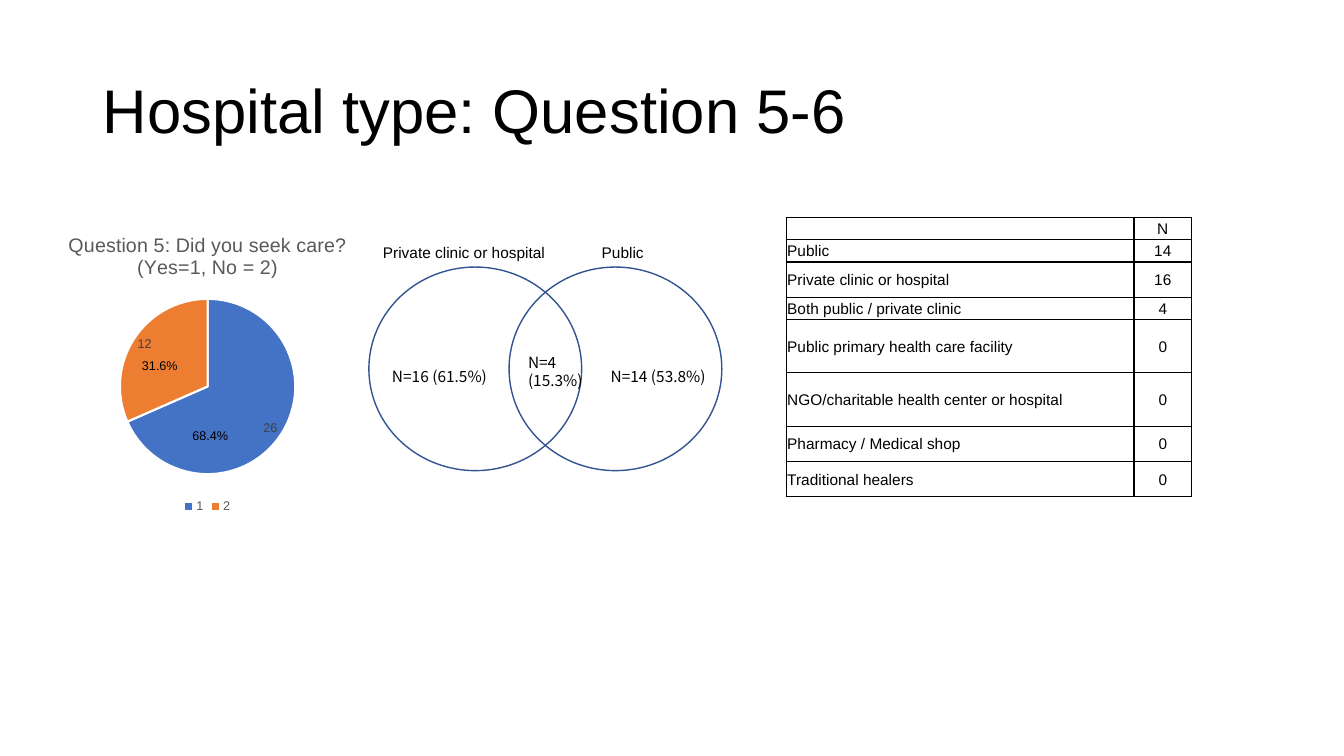
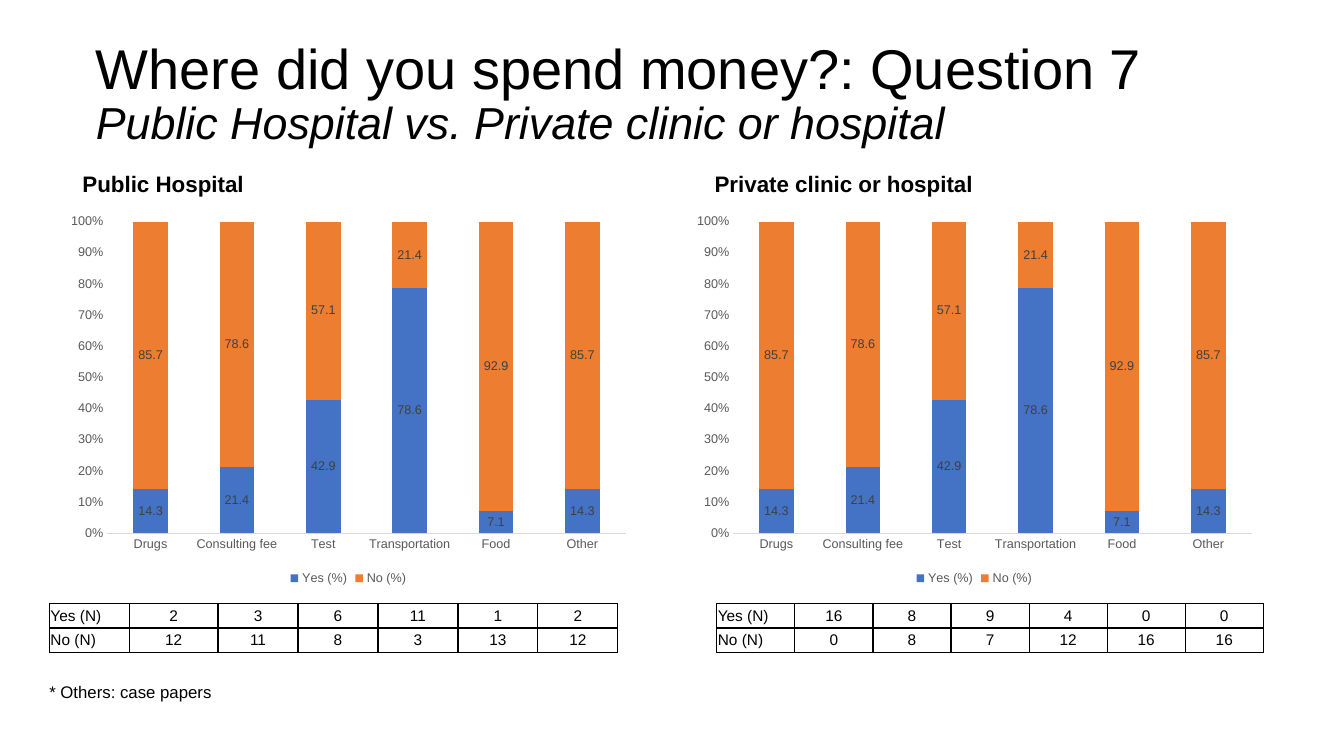
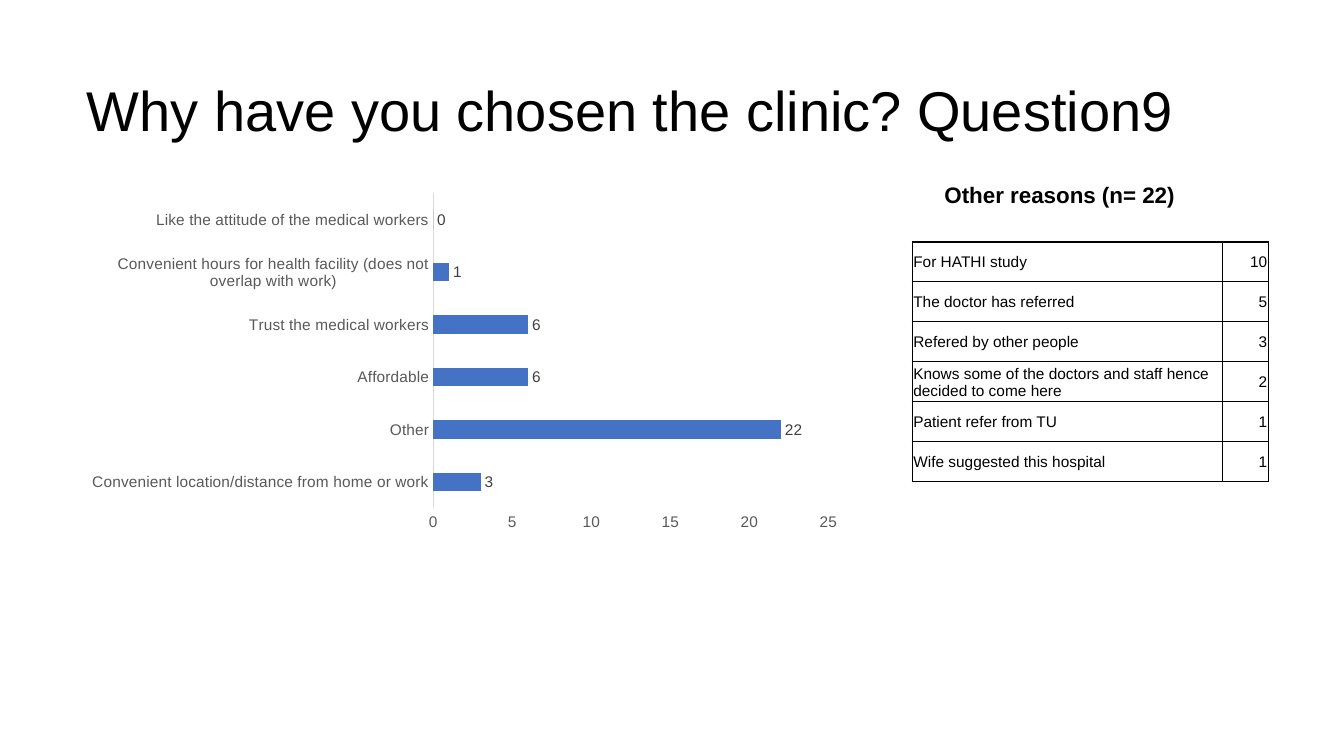
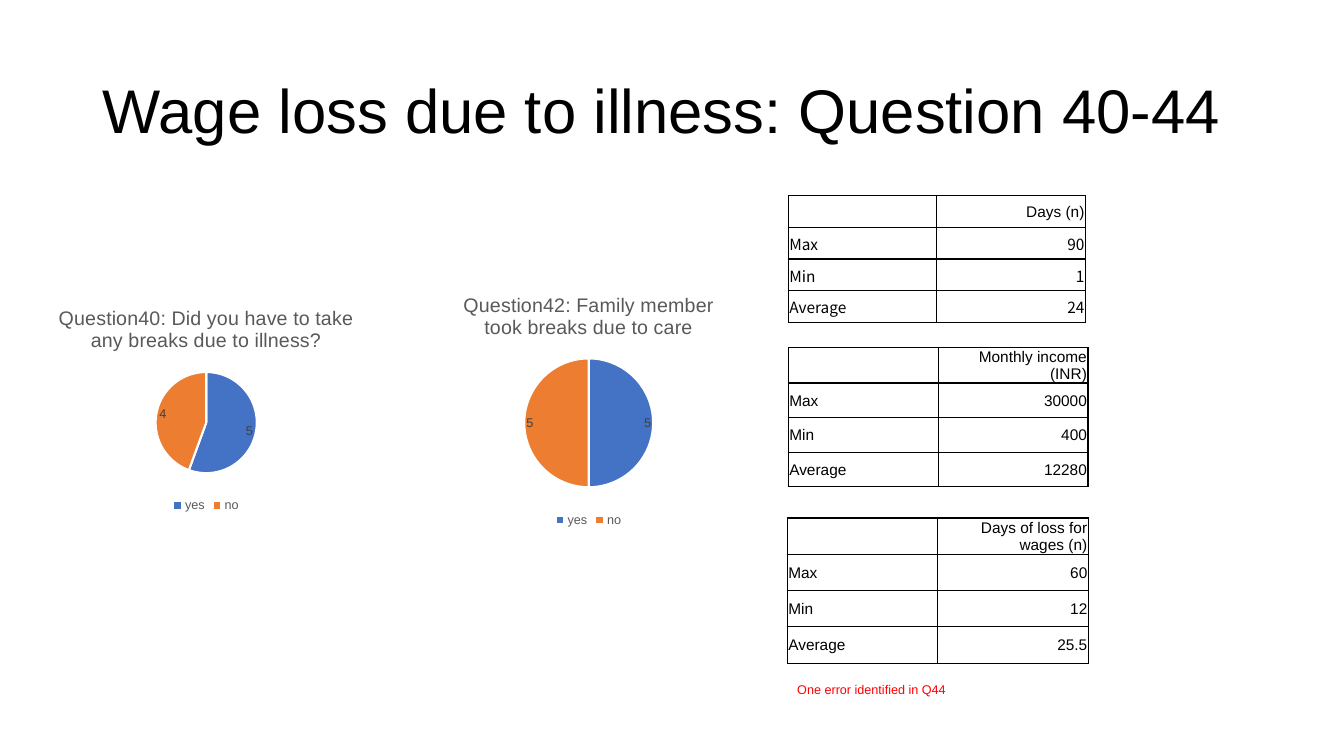
"""Build four slides of survey results on seeking and paying for care."""
from dataclasses import dataclass
from typing import Optional, Sequence

from lxml import etree
from pptx import Presentation
from pptx import util as u
from pptx.chart.data import CategoryChartData
from pptx.dml.color import RGBColor
from pptx.enum import chart as ch, shapes, text
from pptx.oxml import ns

BLACK = RGBColor(0x00, 0x00, 0x00)
WHITE = RGBColor(0xFF, 0xFF, 0xFF)
RED = RGBColor(0xFF, 0x00, 0x00)
BLUE = RGBColor(0x44, 0x72, 0xC4)
ORANGE = RGBColor(0xED, 0x7D, 0x31)
NAVY = RGBColor(0x32, 0x54, 0x91)
GREY = RGBColor(0x59, 0x59, 0x59)
DARK = RGBColor(0x40, 0x40, 0x40)
PALE = RGBColor(0xD9, 0xD9, 0xD9)
HUES = (BLUE, ORANGE)

SANS = "Arial"
NOTO = "Noto Sans CJK KR"
LEFT, MID, RIGHT = text.PP_ALIGN.LEFT, text.PP_ALIGN.CENTER, text.PP_ALIGN.RIGHT
WIDE, HIGH = u.Inches(13.33), u.Inches(7.5)


def across(share: float) -> int:
    """Turn a percentage of the slide's width into a length."""
    return round(WIDE * share / 100)


def down(share: float) -> int:
    """Turn a percentage of the slide's height into a length."""
    return round(HIGH * share / 100)


@dataclass(frozen=True)
class Box:
    """A place on the slide, in percent of its width and height."""
    x: float
    y: float
    w: float
    h: float

    def emu(self) -> tuple:
        """Give left, top, width and height as lengths."""
        return across(self.x), down(self.y), across(self.w), down(self.h)


@dataclass(frozen=True)
class Label:
    """A line of free text."""
    words: str
    box: Box
    size: float = 11
    face: str = SANS
    hue: RGBColor = BLACK
    bold: bool = False


@dataclass(frozen=True)
class Grid:
    """A ruled table; cols and rows are shares of the slide."""
    x: float
    y: float
    cols: Sequence[float]
    rows: Sequence[float]
    cells: Sequence[Sequence[str]]
    align: text.PP_ALIGN = MID
    face: str = SANS


@dataclass(frozen=True)
class Pie:
    """A two-part pie with a title."""
    title: str
    box: Box
    cats: Sequence[str]
    vals: Sequence[float]


@dataclass(frozen=True)
class Bars:
    """A bar or column chart."""
    kind: ch.XL_CHART_TYPE
    box: Box
    cats: Sequence[str]
    series: dict
    size: float
    gap: int
    spot: ch.XL_LABEL_POSITION
    form: str
    axis: str


def style(font, size: float, hue: RGBColor = BLACK, face: str = SANS,
          bold: Optional[bool] = None) -> None:
    """Set face, size, colour and weight of a font."""
    font.name, font.size, font.bold = face, u.Pt(size), bold
    font.color.rgb = hue


def new_slide(deck, title: str, x: float, y: float, size: float, sub: str = ""):
    """Add a slide with its title and an optional italic second line."""
    slide = deck.slides.add_slide(deck.slide_layouts[5])
    head = slide.shapes.title
    head.left, head.top, head.width, head.height = Box(x, y, 86.25, 19.33).emu()
    frame = head.text_frame
    frame.auto_size = text.MSO_AUTO_SIZE.NONE
    frame.vertical_anchor = text.MSO_ANCHOR.MIDDLE
    para = frame.paragraphs[0]
    para.alignment, para.line_spacing = LEFT, 0.9
    style(para.font, size)
    para.add_run().text = title
    if sub:
        para.add_line_break()
        run = para.add_run()
        run.text, run.font.size, run.font.italic = sub, u.Pt(32), True
    return slide


def add_label(slide, label: Label) -> None:
    """Draw a text box."""
    frame = slide.shapes.add_textbox(*label.box.emu()).text_frame
    frame.word_wrap = True
    frame.auto_size = text.MSO_AUTO_SIZE.SHAPE_TO_FIT_TEXT
    para = frame.paragraphs[0]
    para.text = label.words
    style(para.font, label.size, label.hue, label.face, label.bold)


def add_ring(slide, box: Box) -> None:
    """Draw one circle of the Venn diagram."""
    ring = slide.shapes.add_shape(shapes.MSO_SHAPE.OVAL, *box.emu())
    ring.shadow.inherit = False
    ring.fill.background()
    ring.line.color.rgb, ring.line.width = NAVY, u.Pt(1)


def rule(cell) -> None:
    """Give a cell thin black borders on all sides."""
    props = cell._tc.get_or_add_tcPr()
    for at, side in enumerate(("lnL", "lnR", "lnT", "lnB")):
        line = etree.Element(ns.qn(f"a:{side}"), w=str(u.Pt(1)))
        fill = etree.SubElement(line, ns.qn("a:solidFill"))
        etree.SubElement(fill, ns.qn("a:srgbClr"), val=str(BLACK))
        props.insert(at, line)


def fill_cell(cell, words: str, align: text.PP_ALIGN, face: str) -> None:
    """Write and format one table cell."""
    cell.fill.background()
    rule(cell)
    cell.margin_left = cell.margin_top = cell.margin_right = u.Inches(0.01)
    cell.margin_bottom = 0
    cell.vertical_anchor = text.MSO_ANCHOR.MIDDLE
    para = cell.text_frame.paragraphs[0]
    para.alignment = align
    style(para.font, 11, face=face)
    if words:
        para.add_run().text = words
    else:
        etree.SubElement(para._p, ns.qn("a:endParaRPr"), sz="1100")


def add_grid(slide, grid: Grid) -> None:
    """Draw a table; a header row has an empty first cell."""
    box = Box(grid.x, grid.y, sum(grid.cols), sum(grid.rows))
    table = slide.shapes.add_table(
        len(grid.rows), len(grid.cols), *box.emu()).table
    table.first_row = table.horz_banding = False
    for col, share in zip(table.columns, grid.cols):
        col.width = across(share)
    for row, share in zip(table.rows, grid.rows):
        row.height = down(share)
    for r, line in enumerate(grid.cells):
        face = grid.face if line[0] else SANS
        for c, words in enumerate(line):
            fill_cell(table.cell(r, c), words, grid.align if c else LEFT, face)


def new_chart(slide, kind, box: Box, cats: Sequence[str], series: dict, size: float):
    """Place a chart with its data and base font."""
    data = CategoryChartData()
    data.categories = cats
    for name, vals in series.items():
        data.add_series(name, vals)
    chart = slide.shapes.add_chart(kind, *box.emu(), data).chart
    style(chart.font, size)
    chart.has_title = False
    return chart


def add_legend(chart) -> None:
    """Put the legend below the plot."""
    chart.has_legend = True
    chart.legend.position = ch.XL_LEGEND_POSITION.BOTTOM
    chart.legend.include_in_layout = False
    style(chart.legend.font, 9, GREY)


def add_values(series, size: float, spot, form: str = "General") -> None:
    """Show the values of a series as labels."""
    tags = series.data_labels
    tags.show_value, tags.position = True, spot
    tags.number_format, tags.number_format_is_linked = form, False
    style(tags.font, size, DARK)


def add_pie(slide, pie: Pie) -> None:
    """Draw a pie chart."""
    chart = new_chart(slide, ch.XL_CHART_TYPE.PIE, pie.box, pie.cats,
                      {"Series 1": pie.vals}, 10)
    chart.has_title = True
    para = chart.chart_title.text_frame.paragraphs[0]
    para.text = pie.title
    style(para.font, 14, GREY, bold=False)
    add_legend(chart)
    series = chart.plots[0].series[0]
    for at, hue in enumerate(HUES):
        part = series.points[at].format
        part.fill.solid()
        part.fill.fore_color.rgb = hue
        part.line.color.rgb, part.line.width = WHITE, u.Pt(1.5)
    add_values(series, 9, ch.XL_LABEL_POSITION.BEST_FIT)


def add_bars(slide, bars: Bars) -> None:
    """Draw a bar or column chart without grid lines."""
    chart = new_chart(slide, bars.kind, bars.box, bars.cats, bars.series, bars.size)
    for axis in (chart.category_axis, chart.value_axis):
        axis.has_major_gridlines = False
        axis.major_tick_mark = axis.minor_tick_mark = ch.XL_TICK_MARK.NONE
        style(axis.tick_labels.font, bars.size, GREY)
    line = chart.category_axis.format.line
    line.color.rgb, line.width = PALE, u.Pt(0.75)
    chart.value_axis.format.line.fill.background()
    ticks = chart.value_axis.tick_labels
    ticks.number_format, ticks.number_format_is_linked = bars.axis, False
    plot = chart.plots[0]
    plot.gap_width, plot.vary_by_categories = bars.gap, False
    for series, hue in zip(plot.series, HUES):
        series.format.fill.solid()
        series.format.fill.fore_color.rgb = hue
        add_values(series, bars.size, bars.spot, bars.form)
    if len(bars.series) > 1:
        plot.overlap = 100
        add_legend(chart)
    else:
        chart.has_legend = False


def show_type(deck) -> None:
    """Hospital type: pie, Venn diagram and counts."""
    slide = new_slide(deck, "Hospital type: Question 5-6", 6.9, 5.33, 44)
    add_pie(slide, Pie("Question 5: Did you seek care? (Yes=1, No = 2)",
                       Box(1.5, 28.8, 27.9, 39.73), ("1", "2"), (26, 12)))
    for x in (27.45, 37.88):
        add_ring(slide, Box(x, 35.33, 15.83, 26.93))
    for label in (
        Label("Private clinic or hospital", Box(27.75, 31.47, 17.33, 3.87)),
        Label("Public", Box(44.03, 31.47, 6.08, 3.87)),
        Label("N=16 (61.5%)", Box(28.43, 47.87, 8.7, 3.87), face=NOTO),
        Label("N=4 (15.3%)", Box(38.55, 46, 6.08, 6.27), face=NOTO),
        Label("N=14 (53.8%)", Box(44.7, 47.87, 8.7, 3.87), face=NOTO),
        Label("31.6%", Box(9.83, 46.67, 6.68, 3.33), 9),
        Label("68.4%", Box(13.58, 56, 6.68, 3.33), 9),
    ):
        add_label(slide, label)
    low, mid, tall = 2.93, 4.67, 7.07
    add_grid(slide, Grid(
        58.5, 28.8, (25.88, 4.28), (low, low, mid, low, tall, tall, mid, mid),
        (("", "N"),
         ("Public", "14"),
         ("Private clinic or hospital", "16"),
         ("Both public / private clinic", "4"),
         ("Public primary health care facility", "0"),
         ("NGO/charitable health center or hospital", "0"),
         ("Pharmacy / Medical shop", "0"),
         ("Traditional healers", "0"))))


def show_spend(deck) -> None:
    """Spending: public and private side by side."""
    slide = new_slide(deck, "Where did you spend money?: Question 7", 6.38, 2.93, 40,
                      "Public Hospital vs. Private clinic or hospital")
    cats = ("Drugs", "Consulting fee", "Test", "Transportation", "Food", "Other")
    series = {"Yes (%)": (14.3, 21.4, 42.9, 78.6, 7.1, 14.3),
              "No (%)": (85.7, 78.6, 57.1, 21.4, 92.9, 85.7)}
    for x in (4.43, 51):
        add_bars(slide, Bars(
            ch.XL_CHART_TYPE.COLUMN_STACKED_100, Box(x, 27.33, 42.98, 50.67), cats,
            series, 9, 150, ch.XL_LABEL_POSITION.CENTER, "0.0", "0%"))
    add_label(slide, Label("Public Hospital", Box(5.4, 21.87, 17.1, 4.93), 16, bold=True))
    add_label(slide, Label("Private clinic or hospital",
                           Box(52.43, 21.87, 24.83, 4.93), 16, bold=True))
    rows = (3.2,) * 2
    add_grid(slide, Grid(3.68, 79.87, (5.95, 6.6) + (5.95,) * 5, rows,
                         (("Yes (N)", "2", "3", "6", "11", "1", "2"),
                          ("No (N)", "12", "11", "8", "3", "13", "12"))))
    add_grid(slide, Grid(53.33, 79.87, (5.81,) * 7, rows,
                         (("Yes (N)", "16", "8", "9", "4", "0", "0"),
                          ("No (N)", "0", "8", "7", "12", "16", "16"))))
    add_label(slide, Label("* Others: case papers", Box(2.93, 89.47, 17.1, 4), 12))


def show_choice(deck) -> None:
    """Reasons for choosing the clinic."""
    slide = new_slide(deck, "Why have you chosen the clinic? Question9", 5.7, 5.33, 40)
    cats = ("Convenient location/distance from home or work", "Other", "Affordable",
            "Trust the medical workers",
            "Convenient hours for health facility (does not overlap with work)",
            "Like the attitude of the medical workers")
    add_bars(slide, Bars(
        ch.XL_CHART_TYPE.BAR_CLUSTERED, Box(5.7, 24.67, 57.75, 46.4), cats,
        {"Series 1": (3, 22, 6, 6, 1, 0)}, 11, 182,
        ch.XL_LABEL_POSITION.OUTSIDE_END, "General", "General"))
    add_label(slide, Label("Other reasons (n= 22)", Box(69.53, 23.33, 24.83, 4.93),
                           16, bold=True))
    add_grid(slide, Grid(
        67.88, 32, (23.1, 3.38), (5.29,) * 6,
        (("For HATHI study", "10"),
         ("The doctor has referred", "5"),
         ("Refered by other people", "3"),
         ("Knows some of the doctors and staff hence decided to come here", "2"),
         ("Patient refer from TU", "1"),
         ("Wife suggested this hospital", "1")), RIGHT))


def show_wage(deck) -> None:
    """Wage loss: two pies and three summaries."""
    slide = new_slide(deck, "Wage loss due to illness: Question 40-44", 6.9, 5.33, 44)
    cats = ("yes", "no")
    add_pie(slide, Pie("Question40: Did you have to take any breaks due to illness?",
                       Box(0.08, 38.67, 30.53, 29.73), cats, (5, 4)))
    add_pie(slide, Pie("Question42: Family member took breaks due to care",
                       Box(31.28, 36.8, 25.05, 33.47), cats, (5, 5)))
    for x, y, col, row, head, vals, face in (
        (58.65, 25.87, 11.06, 4.2, "Days (n)", ("90", "1", "24"), NOTO),
        (58.65, 46, 11.15, 4.57, "Monthly income (INR)", ("30000", "400", "12280"), SANS),
        (58.58, 68.53, 11.2, 4.8, "Days of loss for wages (n)", ("60", "12", "25.5"), SANS),
    ):
        cells = (("", head), *zip(("Max", "Min", "Average"), vals))
        add_grid(slide, Grid(x, y, (col,) * 2, (row,) * 4, cells, RIGHT, face))
    add_label(slide, Label("One error identified in Q44",
                           Box(58.58, 89.6, 22.2, 3.33), 9, hue=RED))


def main() -> None:
    """Build and save the deck."""
    deck = Presentation()
    deck.slide_width, deck.slide_height = WIDE, HIGH
    for show in (show_type, show_spend, show_choice, show_wage):
        show(deck)
    deck.save("out.pptx")


main()
